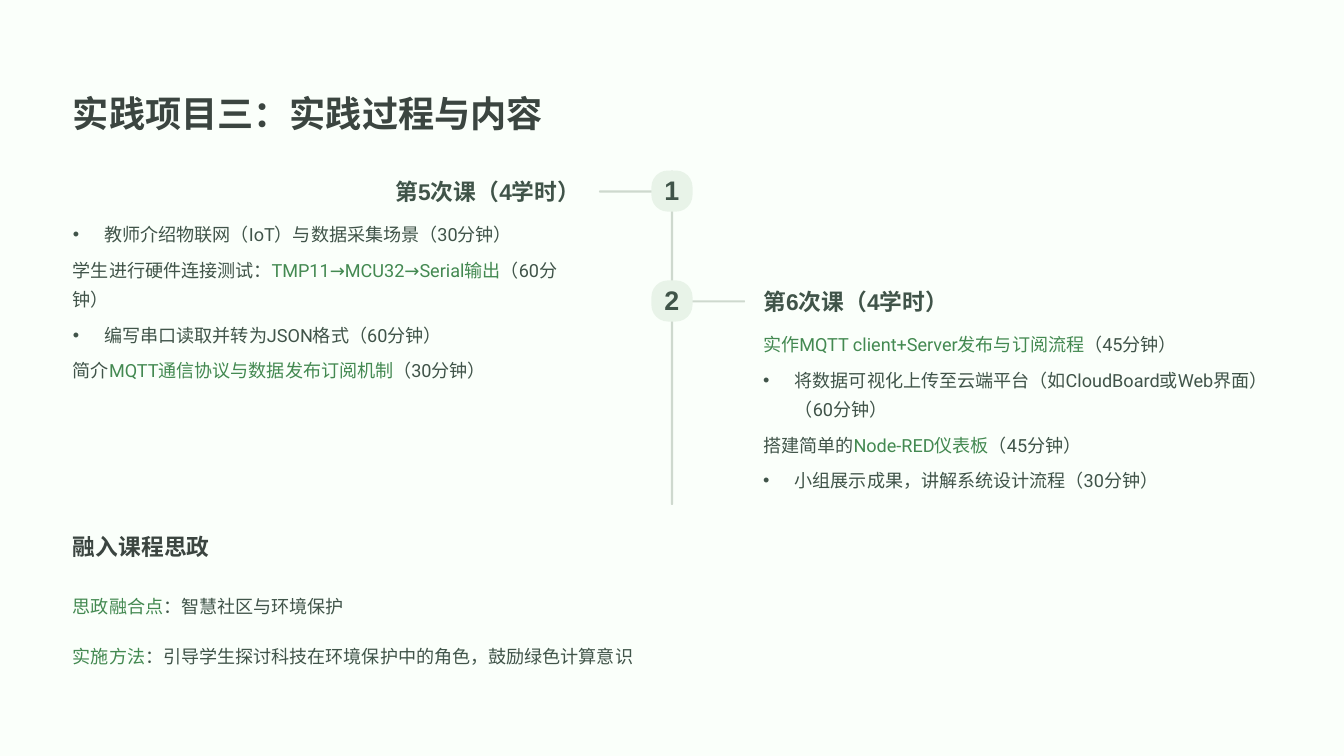
from lxml.etree import SubElement
from pptx import Presentation
from pptx.dml.color import RGBColor
from pptx.enum.shapes import MSO_SHAPE
from pptx.enum.text import MSO_ANCHOR, MSO_AUTO_SIZE, PP_ALIGN
from pptx.oxml.ns import qn
from pptx.util import Pt

COLOURS = {
    "page": "FAFFFA",
    "title": "3B4540",
    "text": "405449",
    "accent": "438951",
    "line": "CED9CE",
    "badge": "E8F3E8",
}


def colour(name):
    return RGBColor.from_string(COLOURS[name])


class Page:
    """Style and element builders for one slide."""

    heading_font, body_font = "Arial", "Roboto"
    indent = 27

    def __init__(self, deck):
        self.slide = deck.slides.add_slide(deck.slide_layouts.get_by_name("Comparison"))
        self.places = {p.placeholder_format.idx: p for p in self.slide.placeholders}
        fill = self.slide.background.fill
        fill.solid()
        fill.fore_color.rgb = colour("page")

    def place(self, left, top, width, height, index=None):
        """Return an empty text box, or a placeholder moved into position."""
        area = [Pt(value) for value in (left, top, width, height)]
        if index is None:
            box = self.slide.shapes.add_textbox(*area)
        else:
            box = self.places[index]
            box.left, box.top, box.width, box.height = area
        self.frame(box)
        return box

    def frame(self, box, top_margin=0):
        frame = box.text_frame
        frame.margin_left = frame.margin_right = frame.margin_bottom = 0
        frame.margin_top = Pt(top_margin)
        frame.word_wrap = True
        frame.auto_size = MSO_AUTO_SIZE.NONE
        frame.vertical_anchor = MSO_ANCHOR.TOP

    def style(self, para, size, leading, font, shade=None, bold=False, before=0):
        para.line_spacing = Pt(leading)
        para.space_before = Pt(before)
        para.space_after = Pt(0)
        para.font.size = Pt(size)
        para.font.name = font
        para.font.bold = bold
        if shade:
            para.font.color.rgb = colour(shade)

    def heading(self, box, text, size, leading, shade, align=PP_ALIGN.LEFT):
        para = box.text_frame.paragraphs[0]
        para.text = text
        para.alignment = align
        self.style(para, size, leading, self.heading_font, shade, True)

    def body(self, box, items, gap):
        """A string is a bulleted item; a list of (text, colour) is a plain one."""
        frame = box.text_frame
        for number, item in enumerate(items):
            para = frame.add_paragraph() if number else frame.paragraphs[0]
            bulleted = isinstance(item, str)
            self.bullet(para, bulleted)
            self.style(para, 15.5, 25, self.body_font,
                       "text" if bulleted else None, before=gap if number else 0)
            if bulleted:
                para.text = item
                continue
            for text, shade in item:
                span = para.add_run()
                span.text = text
                span.font.color.rgb = colour(shade)

    def bullet(self, para, shown):
        properties = para._p.get_or_add_pPr()
        indent = Pt(self.indent) if shown else 0
        properties.set("marL", str(indent))
        properties.set("indent", str(-indent))
        if shown:
            SubElement(properties, qn("a:buChar")).set("char", "•")
        else:
            SubElement(properties, qn("a:buNone"))

    def rounded(self, left, top, width, height, shade, radius):
        shape = self.slide.shapes.add_shape(
            MSO_SHAPE.ROUNDED_RECTANGLE, Pt(left), Pt(top), Pt(width), Pt(height))
        shape.adjustments[0] = radius
        shape.shadow.inherit = False
        shape.fill.solid()
        shape.fill.fore_color.rgb = colour(shade)
        shape.line.fill.background()
        return shape

    def bar(self, left, top, width, height):
        self.rounded(left, top, width, height, "line", 0.5)

    def badge(self, number, centre, top, size):
        shape = self.rounded(centre - size / 2, top, size, size, "badge", 0.4)
        self.frame(shape, 3)
        self.heading(shape, str(number), 23, 23, "text", PP_ALIGN.CENTER)


def main():
    deck = Presentation()
    deck.slide_width, deck.slide_height = Pt(1152), Pt(648)
    page = Page(deck)
    margin, centre, thick, badge = 62.5, 576, 1.9, 35.2
    column, heading_width, link = 435.6, 195, 46.8

    # Title
    page.heading(page.place(margin, 76.5, 1027, 39, 0),
                 "实践项目三：实践过程与内容", 31, 39, "title")

    # Timeline: placeholder index, top, side columns and text of each lesson
    lessons = [
        (1, 146.2, margin, 302.5, 513.4, PP_ALIGN.RIGHT, "第5次课（4学时）", [
            "教师介绍物联网（IoT）与数据采集场景（30分钟）",
            [("学生进行硬件连接测试：", "text"),
             ("TMP11→MCU32→Serial输出", "accent"), ("（60分钟）", "text")],
            "编写串口读取并转为JSON格式（60分钟）",
            [("简介", "text"), ("MQTT通信协议与数据发布订阅机制", "accent"),
             ("（30分钟）", "text")],
        ]),
        (3, 240.4, 654.2, 654.2, 591.8, PP_ALIGN.LEFT, "第6次课（4学时）", [
            [("实作MQTT client+Server发布与订阅流程", "accent"), ("（45分钟）", "text")],
            "将数据可视化上传至云端平台（如CloudBoard或Web界面）（60分钟）",
            [("搭建简单的", "text"), ("Node-RED仪表板", "accent"), ("（45分钟）", "text")],
            "小组展示成果，讲解系统设计流程（30分钟）",
        ]),
    ]
    page.bar(centre - thick / 2, 146.2, thick, 286.6)
    for number, lesson in enumerate(lessons, 1):
        index, top, left, heading_left, link_left, align, heading, items = lesson
        page.bar(link_left, top + 17, link, thick)
        page.badge(number, centre, top, badge)
        page.heading(page.place(heading_left, top + 5.5, heading_width, 24.5, index),
                     heading, 19.5, 24, "text", align)
        page.body(page.place(left, top + 39.2, column, 141.5, index + 1), items, 5.5)

    # Closing section
    page.heading(page.place(margin, 456.5, heading_width, 24.5),
                 "融入课程思政", 19.5, 24, "title")
    page.body(page.place(margin, 504, 1027, 68.5), [
        [("思政融合点", "accent"), ("：智慧社区与环境保护", "text")],
        [("实施方法", "accent"),
         ("：引导学生探讨科技在环境保护中的角色，鼓励绿色计算意识", "text")],
    ], 18.2)

    deck.save("out.pptx")


if __name__ == "__main__":
    main()
